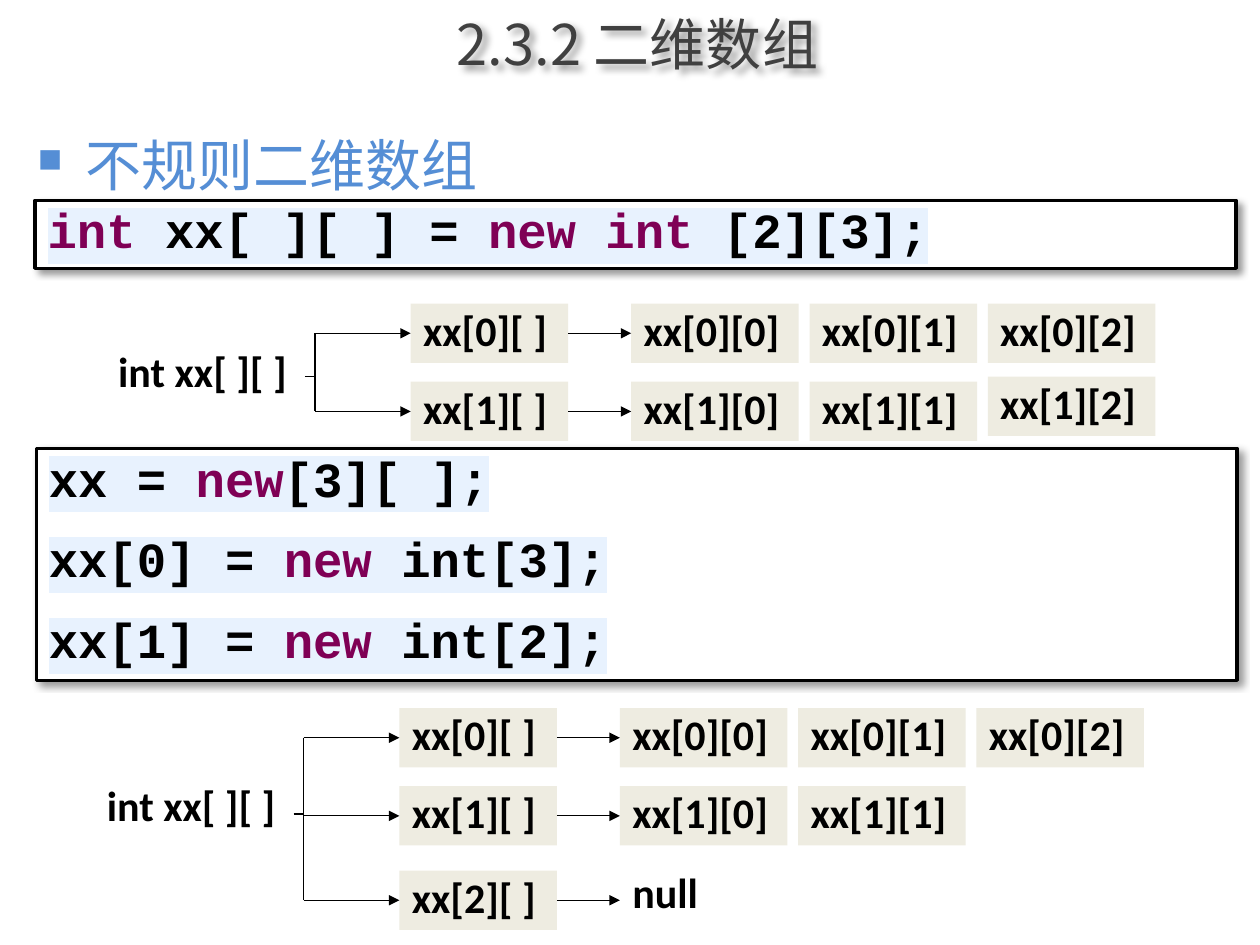
from dataclasses import dataclass

import pptx
import pptx.dml.color
import pptx.enum.shapes
import pptx.enum.text
import pptx.oxml
import pptx.oxml.ns
import pptx.util

COLORS = {
    "title": "404040", "heading": "558ED5", "text": "000000",
    "keyword": "7F0055", "highlight": "E8F2FE", "cell": "EEECE1",
    "panel": "FFFFFF", "line": "000000",
}
CJK, CODE, LABEL = "Noto Sans CJK SC", "Courier New", "Calibri"
WIDTH, HEIGHT = pptx.util.Inches(10), pptx.util.Inches(7.5)
COLS, ROWS = 100, 75  # slide grid

# Tree columns, counted from the left edge of the root label
ROOT_W, TRUNK, INDEX, INDEX_W = 16.7, 16.6, 24.2, 12.5
CELLS, CELL_PITCH, CELL_W, CELL_H = 41.7, 14.15, 13.3, 4.7


@dataclass
class Branch:
    top: float
    index: str
    cells: list[str]
    last_top: float | None = None
    filled: bool = True


@dataclass
class Tree:
    left: float
    root_top: float
    stub_row: float
    branches: list[Branch]


TREES = [
    Tree(8.4, 27.4, 29.9, [
        Branch(24.1, "xx[0][ ]", ["xx[0][0]", "xx[0][1]", "xx[0][2]"]),
        Branch(30.3, "xx[1][ ]", ["xx[1][0]", "xx[1][1]", "xx[1][2]"], last_top=29.9),
    ]),
    Tree(7.5, 61.8, 64.6, [
        Branch(56.2, "xx[0][ ]", ["xx[0][0]", "xx[0][1]", "xx[0][2]"]),
        Branch(62.4, "xx[1][ ]", ["xx[1][0]", "xx[1][1]"]),
        Branch(69.1, "xx[2][ ]", ["null"], last_top=68.7, filled=False),
    ]),
]

DECLARATION = [
    [("int ", "keyword"), ("xx[ ][ ] = ", "text"), ("new int ", "keyword"), ("[2][3];", "text")],
]
ALLOCATION = [
    [("xx = ", "text"), ("new", "keyword"), ("[3][ ];", "text")],
    [("xx[0] = ", "text"), ("new ", "keyword"), ("int[3];", "text")],
    [("xx[1] = ", "text"), ("new ", "keyword"), ("int[2];", "text")],
]


def col(n: float) -> int:
    return round(WIDTH * n / COLS)


def row(n: float) -> int:
    return round(HEIGHT * n / ROWS)


def box(left: float, top: float, width: float, height: float) -> tuple[int, ...]:
    return col(left), row(top), col(width), row(height)


def rgb(name: str) -> pptx.dml.color.RGBColor:
    return pptx.dml.color.RGBColor.from_string(COLORS[name])


def element(xml: str):
    """Parse a fragment whose first tag is in the a: namespace."""
    tag, rest = xml[:-2].split(" ", 1) if " " in xml else (xml[:-2], "")
    if xml.count("<") > 1:
        tag, rest = xml.split(">", 1)
        return pptx.oxml.parse_xml(f'{tag} {pptx.oxml.ns.nsdecls("a")}>{rest}')
    return pptx.oxml.parse_xml(f'{tag} {pptx.oxml.ns.nsdecls("a")} {rest}/>')


def add_shadow(sp) -> None:
    sp._element.spPr.append(element(
        '<a:effectLst><a:outerShdw blurRad="50800" dist="38100" dir="2700000" algn="tl">'
        '<a:srgbClr val="000000"><a:alpha val="40000"/></a:srgbClr>'
        '</a:outerShdw></a:effectLst>'))


def write(p, text: str, *, size: float, font: str, color: str,
          bold: bool = False, highlight: str | None = None) -> None:
    r = p.add_run()
    r.text = text
    r.font.size, r.font.bold = pptx.util.Pt(size), bold
    r.font.color.rgb = rgb(color)
    r.font.name = font
    latin = r._r.rPr.find(pptx.oxml.ns.qn("a:latin"))
    latin.addnext(element(f'<a:ea typeface="{font}"/>'))
    if highlight:
        latin.addprevious(element(
            f'<a:highlight><a:srgbClr val="{COLORS[highlight]}"/></a:highlight>'))


def add_rect(s, area: tuple[int, ...], fill: str):
    sp = s.shapes.add_shape(pptx.enum.shapes.MSO_SHAPE.RECTANGLE, *area)
    sp.shadow.inherit = False
    sp.fill.solid()
    sp.fill.fore_color.rgb = rgb(fill)
    sp.line.fill.background()
    sp.text_frame.vertical_anchor = pptx.enum.text.MSO_ANCHOR.TOP
    return sp


def add_label(s, area: tuple[int, ...], text: str, filled: bool = True):
    sp = add_rect(s, area, "cell") if filled else s.shapes.add_textbox(*area)
    tf = sp.text_frame
    tf.word_wrap = True
    p = tf.paragraphs[0]
    p.alignment = pptx.enum.text.PP_ALIGN.LEFT
    p.line_spacing = 0.9
    write(p, text, size=24, font=LABEL, color="text", bold=True)
    return sp


def add_code(s, area: tuple[int, ...], lines: list[list[tuple[str, str]]]) -> None:
    sp = add_rect(s, area, "panel")
    sp.line.color.rgb = rgb("line")
    sp.line.width = pptx.util.Pt(2)
    sp.shadow.inherit = True
    add_shadow(sp)
    tf = sp.text_frame
    tf.word_wrap = True
    for i, tokens in enumerate(lines):
        p = tf.add_paragraph() if i else tf.paragraphs[0]
        p.alignment = pptx.enum.text.PP_ALIGN.LEFT
        p.line_spacing = 0.9
        if i:
            p.space_before = pptx.util.Pt(16)
        for text, color in tokens:
            write(p, text, size=28, font=CODE, color=color, bold=True, highlight="highlight")


def add_line(s, x1: float, y1: float, x2: float, y2: float, arrow: bool = False):
    line = s.shapes.add_connector(pptx.enum.shapes.MSO_CONNECTOR.STRAIGHT,
                                  col(x1), row(y1), col(x2), row(y2))
    line.line.color.rgb = rgb("line")
    line.line.width = pptx.util.Pt(0.75)
    if arrow:
        line.line._get_or_add_ln().append(element('<a:tailEnd type="triangle"/>'))
    line._element.spPr.append(element("<a:effectLst/>"))
    return line


def add_tree(s, tree: Tree) -> None:
    trunk, index_left = tree.left + TRUNK, tree.left + INDEX
    cells_left = tree.left + CELLS
    add_label(s, box(tree.left, tree.root_top, ROOT_W, CELL_H), "int xx[ ][ ]", filled=False)
    for b in tree.branches:
        mid = b.top + CELL_H / 2
        index = add_label(s, box(index_left, b.top, INDEX_W, CELL_H), b.index)
        cells = []
        for i, text in enumerate(b.cells):
            is_last = i == len(b.cells) - 1
            top = b.last_top if is_last and b.last_top is not None else b.top
            area = box(cells_left + i * CELL_PITCH, top, CELL_W, CELL_H)
            cells.append(add_label(s, area, text, b.filled))
        add_line(s, trunk, mid, index_left, mid, arrow=True).end_connect(index, 1)
        link = add_line(s, index_left + INDEX_W, mid, cells_left, mid, arrow=True)
        link.begin_connect(index, 3)
        if b.filled:
            link.end_connect(cells[0], 1)
    first, last = (tree.branches[i].top + CELL_H / 2 for i in (0, -1))
    add_line(s, trunk, first, trunk, last)
    add_line(s, trunk - 0.8, tree.stub_row, trunk, tree.stub_row)


def main() -> None:
    prs = pptx.Presentation()
    prs.slide_width, prs.slide_height = WIDTH, HEIGHT
    s = prs.slides.add_slide(prs.slide_layouts[5])

    title = s.shapes.title
    title.left, title.top, title.width, title.height = box(7.2, 0, 86.8, 6.8)
    title.text_frame.vertical_anchor = pptx.enum.text.MSO_ANCHOR.MIDDLE
    p = title.text_frame.paragraphs[0]
    p.alignment = pptx.enum.text.PP_ALIGN.CENTER
    write(p, "2.3.2 二维数组", size=32, font=CJK, color="title")
    add_shadow(title)

    tf = s.shapes.add_textbox(*box(2, 9.9, 96.1, 6)).text_frame
    tf.word_wrap = True
    p = tf.paragraphs[0]
    write(p, "不规则二维数组", size=32, font=CJK, color="heading")
    pPr = p._p.get_or_add_pPr()
    pPr.set("marL", str(col(3.8)))
    pPr.set("indent", str(-col(3.8)))
    pPr.append(element('<a:buSzPct val="60000"/>'))
    pPr.append(element('<a:buChar char="■"/>'))

    add_code(s, box(2.8, 15.9, 95.3, 5.4), DECLARATION)
    add_code(s, box(2.9, 35.6, 95.3, 18.4), ALLOCATION)
    for tree in TREES:
        add_tree(s, tree)
    prs.save("out.pptx")


if __name__ == "__main__":
    main()
